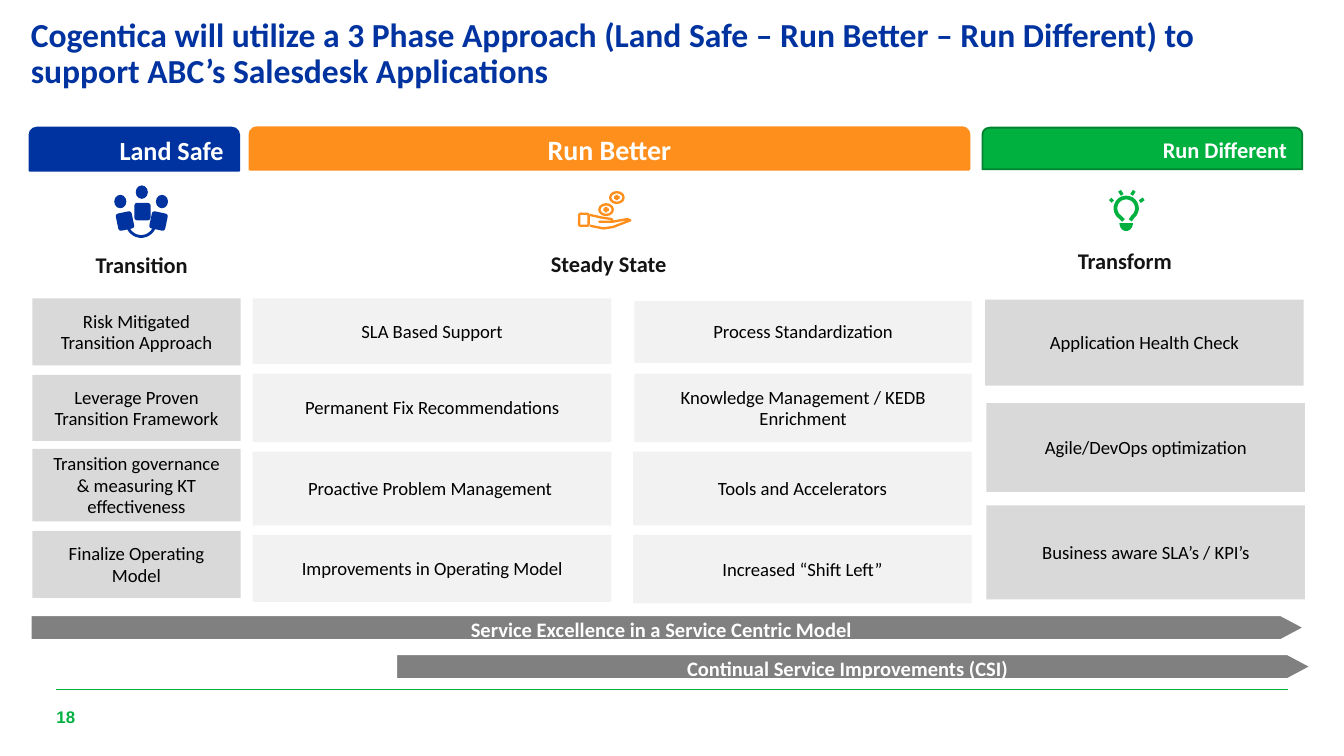
from math import cos, sin, radians
from pptx import Presentation
from pptx.dml.color import RGBColor
from pptx.enum.shapes import MSO_CONNECTOR as Conn, MSO_SHAPE as Kind
from pptx.enum.text import MSO_ANCHOR as Anchor, PP_ALIGN as Align
from pptx.oxml.ns import qn
from pptx.util import Inches, Pt
from lxml import etree

THEME = {
    "font": "Calibri", "foot": "Arial",
    "blue": "0033A0", "orange": "FF8F1C", "green": "00B140", "edge": "00832F",
    "ink": "141414", "black": "000000", "white": "FFFFFF",
    "dark": "D9D9D9", "pale": "F2F2F2", "bar": "808080",
    "title": 18, "label": 12, "cell": 10, "arrow": 11, "page": 9,
}

TITLE = ("Cogentica will utilize a 3 Phase Approach (Land Safe – Run Better – "
         "Run Different) to support ABC’s Salesdesk Applications")

HEADS = [
    ("Run Better", (1.86, 0.95, 5.35, 0.31), "orange", "orange", 1.5, 15, Align.CENTER),
    ("Land Safe", (0.22, 0.95, 1.56, 0.32), "blue", "blue", 1, 14, Align.RIGHT),
    ("Run Different", (7.31, 0.95, 2.38, 0.31), "green", "edge", 1, 12, Align.RIGHT),
]

LABELS = [
    ("Transition", (0.3, 1.82, 1.51, 0.3)),
    ("Steady State", (3.83, 1.81, 1.4, 0.3)),
    ("Transform", (7.6, 1.79, 1.54, 0.3)),
]

COLUMNS = [
    (0.24, 1.55, "dark", [
        ("Risk Mitigated Transition Approach", 2.22, 0.5),
        ("Leverage Proven Transition Framework", 2.79, 0.49),
        ("Transition governance & measuring KT effectiveness", 3.34, 0.54),
        ("Finalize Operating Model", 3.95, 0.5)]),
    (1.88, 2.67, "pale", [
        ("SLA Based Support", 2.22, 0.49),
        ("Permanent Fix Recommendations", 2.78, 0.51),
        ("Proactive Problem Management ", 3.36, 0.55),
        ("Improvements in Operating Model", 3.98, 0.5)]),
    (4.72, 2.51, "pale", [
        ("Process Standardization", 2.24, 0.46),
        ("Knowledge Management / KEDB Enrichment", 2.78, 0.51)]),
    (4.71, 2.52, "pale", [
        ("Tools and Accelerators", 3.36, 0.55),
        ("Increased “Shift Left”", 3.98, 0.51)]),
    (7.33, 2.37, "dark", [
        ("Application Health Check", 2.23, 0.64)]),
    (7.34, 2.37, "dark", [
        ("Agile/DevOps optimization", 3, 0.66),
        ("Business aware SLA’s / KPI’s", 3.76, 0.7)]),
]

ARROWS = [
    ("Service Excellence in a Service Centric Model", (0.23, 4.58, 9.47, 0.18)),
    ("Continual Service Improvements (CSI)", (2.95, 4.87, 6.8, 0.18)),
]

PEOPLE = [(0.85, 1.45, 0.87, 1.58, -12), (1.01, 1.38, 1, 1.51, 0),
          (1.16, 1.45, 1.12, 1.58, 12)]
COINS = [(4.45, 1.51), (4.53, 1.42)]
PALM = [(4.39, 1.6), (4.48, 1.62), (4.55, 1.63), (4.56, 1.65), (4.46, 1.65),
        (4.56, 1.65), (4.67, 1.63), (4.69, 1.64), (4.56, 1.69), (4.49, 1.7),
        (4.39, 1.68)]
RAYS = [(8.26, 1.48, 8.28, 1.5), (8.33, 1.42, 8.35, 1.45), (8.44, 1.42, 8.42, 1.45),
        (8.51, 1.48, 8.48, 1.5)]

deck = Presentation()
deck.slide_width = Inches(10)
deck.slide_height = deck.slide_width * 9 // 16
slide = deck.slides.add_slide(deck.slide_layouts[6])
shapes = slide.shapes


def color(name):
    return RGBColor.from_string(THEME[name])


def paint(shape, fill=None, line=None, width=1):
    shape.shadow.inherit = False
    if fill:
        shape.fill.solid()
        shape.fill.fore_color.rgb = color(fill)
    else:
        shape.fill.background()
    if line:
        shape.line.color.rgb = color(line)
        shape.line.width = Pt(width)
    else:
        shape.line.fill.background()
    return shape


def draw(kind, box, *style):
    return paint(shapes.add_shape(kind, *map(Inches, box)), *style)


def write(shape, text, size, tone, bold=True, align=Align.CENTER, gap=None,
          font="font", anchor=Anchor.MIDDLE):
    frame = shape.text_frame
    frame.word_wrap = True
    frame.vertical_anchor = anchor
    frame.text = text
    para = frame.paragraphs[0]
    para.alignment = align
    if gap:
        para.line_spacing = gap
    face = para.runs[0].font
    face.name, face.size, face.bold = THEME[font], Pt(size), bold
    face.color.rgb = color(tone)


def note(box, text, *style, flush=False, **more):
    shape = shapes.add_textbox(*map(Inches, box))
    write(shape, text, *style, **more)
    if flush:
        frame = shape.text_frame
        frame.margin_left = frame.margin_right = 0
        frame.margin_top = frame.margin_bottom = 0


def rule(ends, tone, width):
    line = shapes.add_connector(Conn.STRAIGHT, *map(Inches, ends))
    line.line.color.rgb = color(tone)
    line.line.width = Pt(width)
    etree.SubElement(line._element.spPr, qn("a:effectLst"))


def trace(points, *style, close=False):
    path = [(x * 1000, y * 1000) for x, y in points]
    pen = shapes.build_freeform(*path[0], scale=Inches(1) / 1000)
    pen.add_line_segments(path[1:], close=close)
    return paint(pen.convert_to_shape(), *style)


def arc(x, y, wide, high, start, end):
    steps = [start + (end - start) * i / 24 for i in range(25)]
    return [(x + wide * cos(radians(a)), y + high * sin(radians(a))) for a in steps]


rule((0.42, 5.13, 9.58, 5.13), "green", 0.5)
note((0.23, 0.1, 9.46, 0.61), TITLE, THEME["title"], "blue",
     align=Align.LEFT, gap=0.9, flush=True)
note((0.42, 5.25, 0.25, 0.17), "18", THEME["page"], "green",
     align=Align.LEFT, font="foot", flush=True)

for text, box in LABELS:
    note(box, text, THEME["label"], "ink", anchor=Anchor.TOP)

for x, y, left, top, turn in PEOPLE:
    draw(Kind.OVAL, (x, y, 0.09, 0.1), "blue")
    draw(Kind.ROUNDED_RECTANGLE, (left, top, 0.12, 0.13), "blue").rotation = turn
trace(arc(1.05, 1.64, 0.11, 0.12, 30, 150), None, "blue", 1.5)

for x, y in COINS:
    draw(Kind.OVAL, (x + 0.01, y + 0.01, 0.1, 0.08), None, "orange", 1.25)
    draw(Kind.CROSS, (x + 0.04, y + 0.03, 0.04, 0.04), "orange")
draw(Kind.ROUNDED_RECTANGLE, (4.31, 1.59, 0.07, 0.09), None, "orange", 1.25)
trace(PALM, None, "orange", 1.25)

trace([(8.36, 1.64)] + arc(8.38, 1.55, 0.08, 0.08, 130, 410) + [(8.41, 1.64)],
      None, "green", 2)
trace(arc(8.38, 1.66, 0.05, 0.06, 0, 180), "green", close=True)
for ends in RAYS:
    rule(ends, "green", 1.75)

for text, box, fill, line, width, size, align in HEADS:
    head = draw(Kind.ROUND_2_SAME_RECTANGLE, box, fill, line, width)
    write(head, text, size, "white", align=align)

for left, width, fill, cells in COLUMNS:
    for text, top, height in cells:
        cell = draw(Kind.RECTANGLE, (left, top, width, height), fill)
        write(cell, text, THEME["cell"], "black", bold=False, gap=Pt(11.5))

for text, box in ARROWS:
    arrow = draw(Kind.PENTAGON, box, "bar", "white", 0.75)
    arrow.adjustments[0] = 0.94
    write(arrow, text, THEME["arrow"], "white", gap=1.1)

deck.save("out.pptx")
